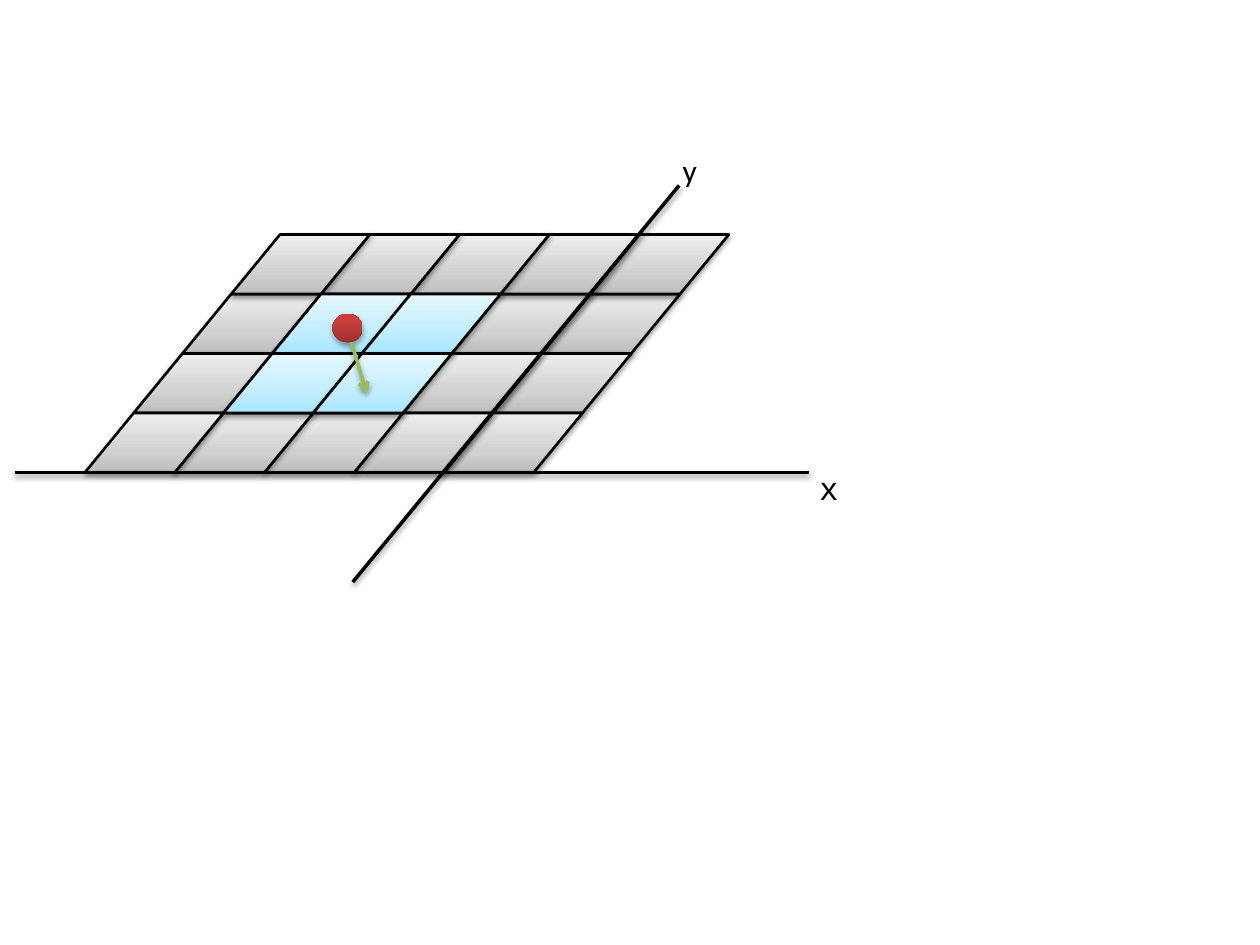
import copy

import lxml.etree
import pptx
import pptx.dml.color
import pptx.enum.shapes
import pptx.enum.text
import pptx.oxml.ns
import pptx.util

Pt = pptx.util.Pt
RGBColor = pptx.dml.color.RGBColor
Shapes = pptx.enum.shapes.MSO_SHAPE
qn = pptx.oxml.ns.qn

BLACK = RGBColor(0x00, 0x00, 0x00)
GREEN = RGBColor(0x9B, 0xBB, 0x59)
GREY_STOPS = [
    (0, RGBColor(0xBD, 0xBD, 0xBD)),
    (0.35, RGBColor(0xD1, 0xD1, 0xD1)),
    (1, RGBColor(0xEE, 0xEE, 0xEE)),
]
BLUE_STOPS = [
    (0, RGBColor(0xA7, 0xE6, 0xFF)),
    (0.35, RGBColor(0xC1, 0xED, 0xFF)),
    (1, RGBColor(0xE7, 0xF8, 0xFF)),
]
RED_STOPS = [
    (0, RGBColor(0x9C, 0x2F, 0x2D)),
    (0.8, RGBColor(0xCB, 0x3E, 0x3A)),
    (1, RGBColor(0xCE, 0x3B, 0x37)),
]
HIGHLIGHTED_CELLS = [(1, 1), (2, 1), (1, 2), (2, 2)]


def add_shadow(shape, distance=1.6, opacity=38):
    """Cast a soft black shadow straight down."""
    properties = shape._element.spPr
    effects = lxml.etree.SubElement(properties, qn("a:effectLst"))
    shadow = lxml.etree.SubElement(
        effects,
        qn("a:outerShdw"),
        blurRad=str(Pt(3.1)),
        dist=str(Pt(distance)),
        dir="5400000",
        rotWithShape="0",
    )
    color = lxml.etree.SubElement(shadow, qn("a:srgbClr"), val=str(BLACK))
    lxml.etree.SubElement(color, qn("a:alpha"), val=str(opacity * 1000))


def fill_gradient(shape, stops):
    """Fill a shape with a three-stop gradient running upwards."""
    shape.fill.gradient()
    shape.fill.gradient_angle = 90
    stop_list = shape._element.spPr.find(".//" + qn("a:gsLst"))
    stop_list.append(copy.deepcopy(stop_list[0]))
    for stop, (position, color) in zip(shape.fill.gradient_stops, stops):
        stop.position = position
        stop.color.rgb = color


def add_cell(slide, left, top, width, height, stops):
    """Draw one slanted grid cell."""
    cell = slide.shapes.add_shape(
        Shapes.PARALLELOGRAM, Pt(left), Pt(top), Pt(width), Pt(height)
    )
    cell.adjustments[0] = 0.82
    fill_gradient(cell, stops)
    cell.line.color.rgb = BLACK
    cell.line.width = Pt(1.5)
    add_shadow(cell)


def add_grid(slide, left, top, width, height):
    """Draw the slanted grid, with the highlighted cells in front."""
    rows, columns = 4, 5
    row_height = height / rows
    slant = 0.82 * row_height
    column_width = (width - rows * slant) / columns
    grey_cells = [
        (row, column)
        for row in (1, 2, 0, 3)
        for column in reversed(range(columns))
        if (row, column) not in HIGHLIGHTED_CELLS
    ]
    for row, column in grey_cells + HIGHLIGHTED_CELLS:
        add_cell(
            slide,
            left + (rows - 1 - row) * slant + column * column_width,
            top + row * row_height,
            column_width + slant,
            row_height,
            BLUE_STOPS if (row, column) in HIGHLIGHTED_CELLS else GREY_STOPS,
        )


def add_line(slide, start, end, color, arrow=False):
    """Draw a shadowed line, with an optional arrowhead at its end."""
    line = slide.shapes.add_connector(
        pptx.enum.shapes.MSO_CONNECTOR.STRAIGHT, *map(Pt, start + end)
    )
    line.line.color.rgb = color
    line.line.width = Pt(2)
    if arrow:
        outline = line.line._get_or_add_ln()
        lxml.etree.SubElement(outline, qn("a:tailEnd"), type="arrow")
    add_shadow(line)


def add_label(slide, left, top, width, height, text):
    """Write a centred axis name."""
    label = slide.shapes.add_textbox(Pt(left), Pt(top), Pt(width), Pt(height))
    frame = label.text_frame
    frame.word_wrap = True
    frame.vertical_anchor = pptx.enum.text.MSO_ANCHOR.MIDDLE
    paragraph = frame.paragraphs[0]
    paragraph.alignment = pptx.enum.text.PP_ALIGN.CENTER
    run = paragraph.add_run()
    run.text = text
    run.font.name = "Calibri"
    run.font.size = Pt(18)
    run.font.color.rgb = BLACK


def add_axes(slide, left, top, width, height):
    """Draw the two axes and their names."""
    x_axis_top = top + 164
    add_line(slide, (left, x_axis_top), (left + width, x_axis_top), BLACK)
    add_line(slide, (left + 193, top + height), (left + 379.5, top), BLACK)
    add_label(slide, left + 357, top - 17.5, 57, 17.5, "y")
    add_label(slide, left + 436.5, x_axis_top, 57, 17.5, "ｘ")


def add_ball(slide, left, top, width, height):
    """Draw the red ball."""
    ball = slide.shapes.add_shape(
        Shapes.OVAL, Pt(left), Pt(top), Pt(width), Pt(height)
    )
    fill_gradient(ball, RED_STOPS)
    ball.line.fill.background()
    add_shadow(ball, distance=1.8, opacity=35)


def main():
    """Build the slide and save it."""
    presentation = pptx.Presentation()
    presentation.slide_width = Pt(720)
    presentation.slide_height = Pt(540)
    slide = presentation.slides.add_slide(presentation.slide_layouts[6])
    add_grid(slide, 48.5, 134, 368, 136)
    add_ball(slide, 190, 179.3, 17.3, 16.5)
    add_axes(slide, 8.6, 106, 453.6, 226.6)
    add_line(slide, (200.9, 195.8), (209.5, 224.6), GREEN, arrow=True)
    presentation.save("out.pptx")


if __name__ == "__main__":
    main()
